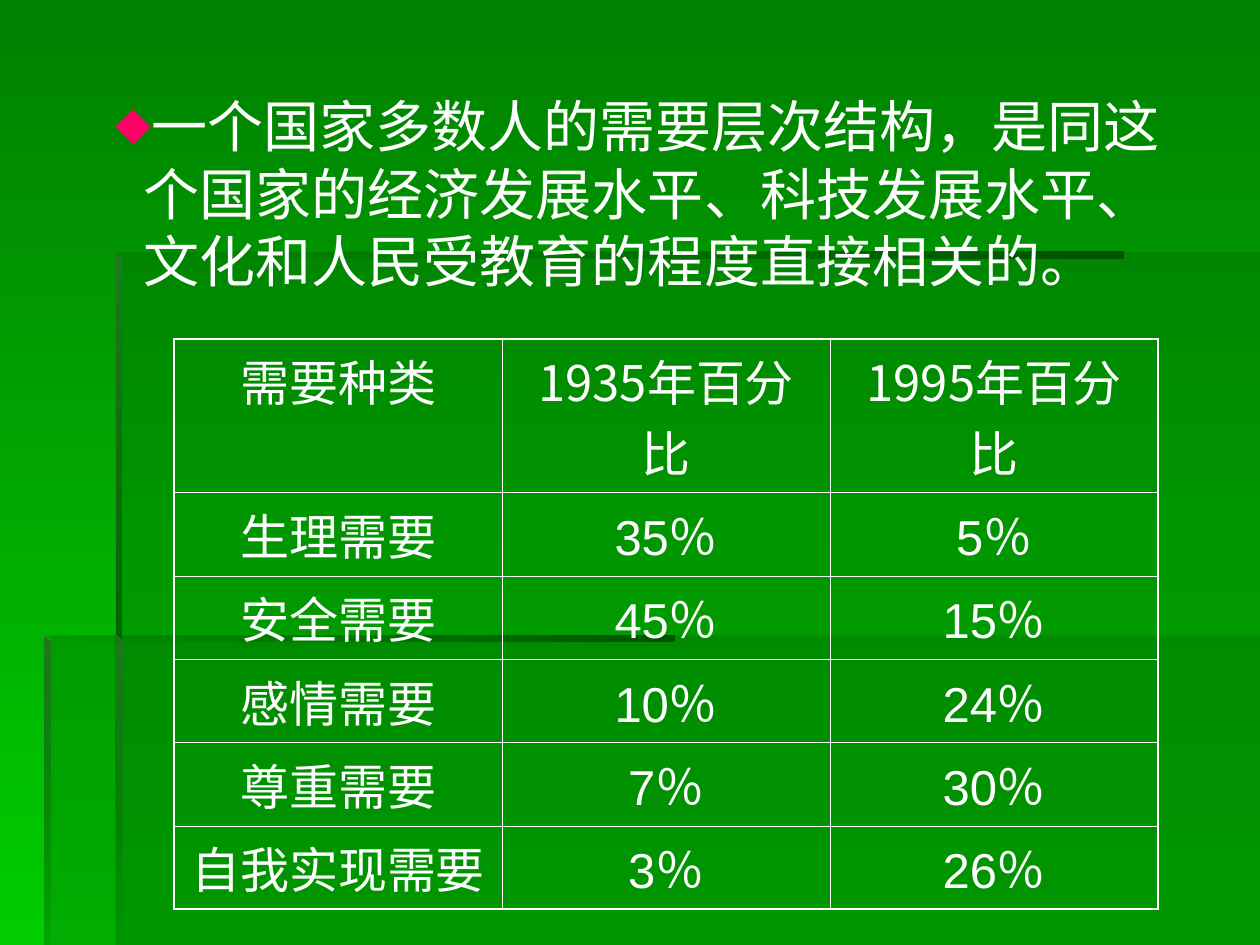
import pptx
import pptx.util
import pptx.dml.color
import pptx.enum.text
import pptx.oxml.ns
import lxml.etree

Cm = pptx.util.Cm
Pt = pptx.util.Pt
RGBColor = pptx.dml.color.RGBColor
qn = pptx.oxml.ns.qn

WHITE = RGBColor(0xFF, 0xFF, 0xFF)
PINK = RGBColor(0xFF, 0x00, 0x66)
GREEN = RGBColor(0x00, 0x80, 0x00)
BRIGHT = RGBColor(0x00, 0xCC, 0x00)
FOREST = RGBColor(0x00, 0x66, 0x00)
SHADE = RGBColor(0x00, 0x53, 0x00)
EDGE = RGBColor(0x1E, 0x78, 0x1E)
CJK_FONT = "Noto Sans CJK SC"
LATIN_FONT = "Arial"

STATEMENT = ("一个国家多数人的需要层次结构，是同这个国家的经济发展水平、"
             "科技发展水平、文化和人民受教育的程度直接相关的。")
NEEDS = [
    ("需要种类", "1935年百分比", "1995年百分比"),
    ("生理需要", "35％", "5％"),
    ("安全需要", "45％", "15％"),
    ("感情需要", "10％", "24％"),
    ("尊重需要", "7％", "30％"),
    ("自我实现需要", "3％", "26％"),
]


def add_child(parent, tag, **attributes):
    child = lxml.etree.SubElement(parent, qn(tag))
    for name, value in attributes.items():
        child.set(name, str(value))
    return child


def add_color(parent, color, opacity=100):
    node = add_child(parent, "a:srgbClr", val=color)
    if opacity < 100:
        add_child(node, "a:alpha", val=opacity * 1000)


def paint_gradient(fill, element, start, end, angle, end_opacity=100):
    """Swap the solid fill in element for a two-stop linear gradient."""
    fill.solid()
    solid = element.find(".//" + qn("a:solidFill"))
    gradient = lxml.etree.Element(qn("a:gradFill"), rotWithShape="1")
    stops = add_child(gradient, "a:gsLst")
    add_color(add_child(stops, "a:gs", pos=0), start)
    add_color(add_child(stops, "a:gs", pos=100000), end, end_opacity)
    add_child(gradient, "a:lin", ang=angle * 60000, scaled=0)
    solid.getparent().replace(solid, gradient)


def add_outline(shapes, left, top, points):
    """Closed outline through points, which are in cm from left and top."""
    corners = [(Cm(left + x), Cm(top + y)) for x, y in points]
    builder = shapes.build_freeform(*corners[0], scale=1.0)
    builder.add_line_segments(corners[1:], close=True)
    shape = builder.convert_to_shape()
    shape.shadow.inherit = False
    shape.line.fill.background()
    return shape


def add_panel(shapes, left, top, points):
    panel = add_outline(shapes, left, top, points)
    panel.fill.solid()
    panel.fill.fore_color.rgb = FOREST
    add_child(panel.element.find(".//" + qn("a:srgbClr")), "a:alpha", val=30000)


def add_ledge(shapes, left, top, width, height):
    ledge = add_outline(shapes, left, top,
                        [(0, 0), (0, height), (width, height), (width, 0)])
    paint_gradient(ledge.fill, ledge.element, SHADE, FOREST, 180, 0)


def add_post(shapes, left, top, width, height, end_opacity):
    """Upright bar whose top is cut at 45 degrees."""
    post = add_outline(shapes, left, top,
                       [(0, 0), (0, height), (width, height), (width, width)])
    paint_gradient(post.fill, post.element, EDGE, FOREST, 90, end_opacity)


def add_backdrop(page, width, height):
    paint_gradient(page.background.fill, page.element, GREEN, BRIGHT, 90)
    shapes = page.shapes.add_group_shape().shapes
    outer, inner, upper, lower, bar = 0.89, 2.33, 5.08, 12.81, 0.13

    # Translucent panels
    right, drop = width - inner, height - lower
    add_panel(shapes, inner, lower, [(0, 0), (0, drop), (right, drop), (right, 0)])
    step_x, step_y = inner - outer, lower - upper
    add_panel(shapes, outer, upper, [
        (step_x, step_y), (0, step_y), (0, height - upper),
        (width - outer, height - upper), (width - outer, 0), (step_x, 0)])

    # Bevelled edges
    add_ledge(shapes, inner, upper, 20.32, bar)
    add_post(shapes, inner, upper, bar, 7.87, 100)
    add_post(shapes, inner, lower, bar, drop, 0)
    add_ledge(shapes, outer, lower, 12.7, bar)
    add_post(shapes, outer, lower, bar, drop, 10)


def add_text(para, text, size, latin):
    span = para.add_run()
    span.text = text
    span.font.size = Pt(size)
    span.font.name = latin
    span.font.color.rgb = WHITE
    add_child(span.font._element, "a:ea", typeface=CJK_FONT)


def add_statement(page, left, top, width, height):
    box = page.shapes.add_textbox(Cm(left), Cm(top), Cm(width), Cm(height))
    box.text_frame.word_wrap = True
    para = box.text_frame.paragraphs[0]
    para.space_before = Pt(8)
    add_text(para, STATEMENT, 32, CJK_FONT)

    # Diamond bullet, slightly wider than its hanging indent
    properties = para._p.get_or_add_pPr()
    properties.set("marL", str(Cm(0.95)))
    properties.set("indent", str(-Cm(0.58)))
    add_color(add_child(properties, "a:buClr"), PINK)
    add_child(properties, "a:buSzPct", val=65000)
    add_child(properties, "a:buFont", typeface=CJK_FONT)
    add_child(properties, "a:buChar", char="◆")


def set_borders(cell, outer_sides):
    properties = cell._tc.get_or_add_tcPr()
    for side in "LRTB":
        weight = 1.08 if side in outer_sides else 0.45
        line = add_child(properties, "a:ln" + side, w=int(Pt(weight)))
        add_color(add_child(line, "a:solidFill"), WHITE)


def add_needs_table(page, left, top, width, row_heights):
    row_count, column_count = len(NEEDS), len(NEEDS[0])
    frame = page.shapes.add_table(row_count, column_count, Cm(left), Cm(top),
                                  Cm(width), Cm(sum(row_heights)))
    table = frame.table
    table.first_row = table.horz_banding = False
    for row, height in zip(table.rows, row_heights):
        row.height = Cm(height)
    for r, texts in enumerate(NEEDS):
        for c, text in enumerate(texts):
            cell = table.cell(r, c)
            sides = {"T": r == 0, "B": r == row_count - 1,
                     "L": c == 0, "R": c == column_count - 1}
            set_borders(cell, [side for side, outer in sides.items() if outer])
            cell.fill.background()
            para = cell.text_frame.paragraphs[0]
            para.alignment = pptx.enum.text.PP_ALIGN.CENTER
            para.space_before = Pt(7)
            add_text(para, text, 28, CJK_FONT if r == 0 else LATIN_FONT)


def main():
    deck = pptx.Presentation()
    deck.slide_width, deck.slide_height = Cm(25.4), Cm(19.05)
    page = deck.slides.add_slide(deck.slide_layouts[6])
    add_backdrop(page, 25.4, 19.05)
    add_statement(page, 1.7, 1.73, 22.43, 4.4)
    add_needs_table(page, 3.51, 6.83, 19.84, [3.1] + [1.68] * 5)
    deck.save("out.pptx")


if __name__ == "__main__":
    main()
